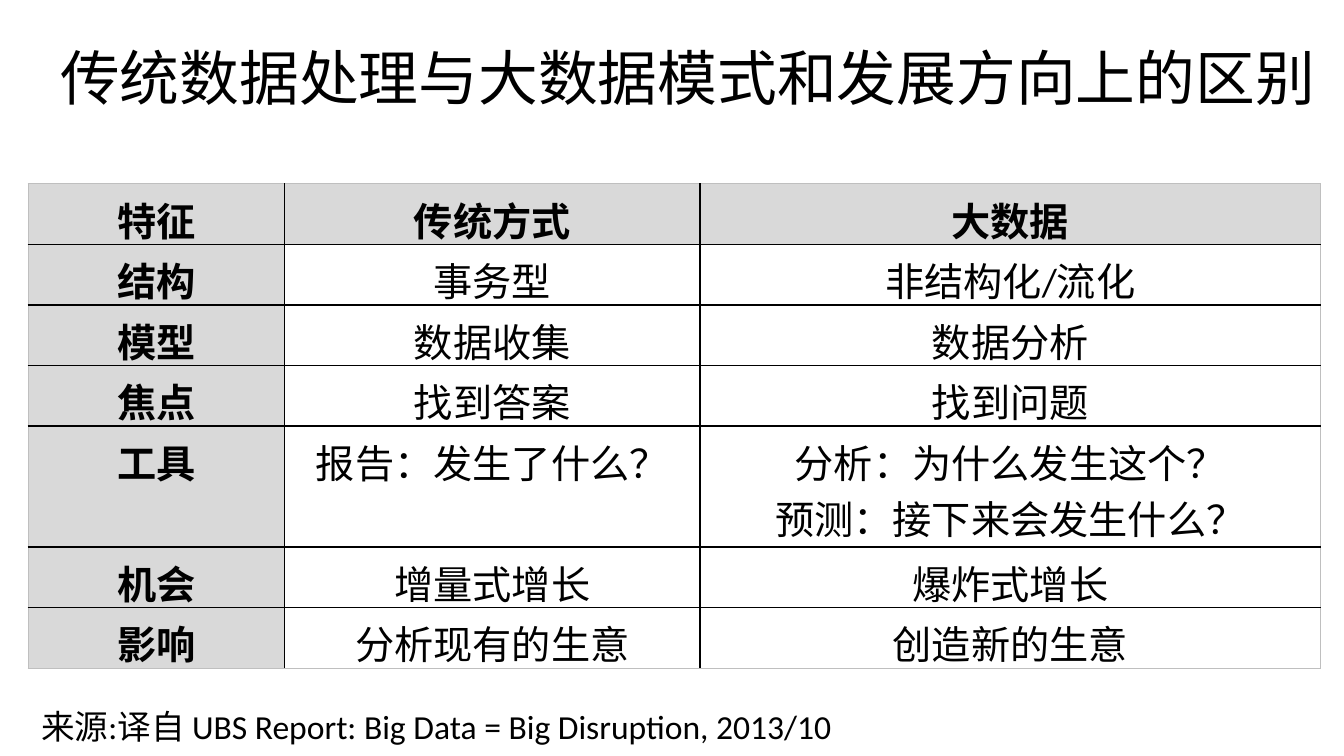
from lxml import etree
from pptx import Presentation
from pptx.dml import color
from pptx.enum import text
from pptx.oxml import ns
from pptx.util import Pt

FONT = "Calibri"
BLACK, GREY, EDGE = "000000", "D9D9D9", "BFBFBF"

FEATURES = [
    ("特征", "传统方式", "大数据"),
    ("结构", "事务型", "非结构化/流化"),
    ("模型", "数据收集", "数据分析"),
    ("焦点", "找到答案", "找到问题"),
    ("工具", "报告：发生了什么？", "分析：为什么发生这个？\n预测：接下来会发生什么？"),
    ("机会", "增量式增长", "爆炸式增长"),
    ("影响", "分析现有的生意", "创造新的生意"),
]
COLUMN_WIDTHS = [137.5, 222.5, 332.5]
LINE_HEIGHT, TWO_LINE_HEIGHT = 30.24, 64.8


def rgb(value):
    return color.RGBColor.from_string(value)


def write(frame, wording, size, bold=False, align=text.PP_ALIGN.LEFT):
    frame.text = wording
    for paragraph in frame.paragraphs:
        paragraph.alignment = align
        for run in paragraph.runs:
            run.font.name = FONT
            run.font.size = Pt(size)
            run.font.bold = bold
            run.font.color.rgb = rgb(BLACK)


def add_border(cell, side, value, width):
    line = etree.SubElement(cell._tc.get_or_add_tcPr(), ns.qn(f"a:ln{side}"), w=str(Pt(width)))
    fill = etree.SubElement(line, ns.qn("a:solidFill"))
    etree.SubElement(fill, ns.qn("a:srgbClr"), val=value)


def add_title(slide, left, top, width, height):
    title = slide.shapes.add_textbox(Pt(left), Pt(top), Pt(width), Pt(height)).text_frame
    title.word_wrap = True
    title.vertical_anchor = text.MSO_ANCHOR.MIDDLE
    write(title, "传统数据处理与大数据模式和发展方向上的区别", 32, align=text.PP_ALIGN.CENTER)


def add_comparison(slide, left, top):
    heights = [TWO_LINE_HEIGHT if "\n" in row[-1] else LINE_HEIGHT for row in FEATURES]
    last_row, last_column = len(heights) - 1, len(COLUMN_WIDTHS) - 1
    comparison = slide.shapes.add_table(
        len(heights), len(COLUMN_WIDTHS), Pt(left), Pt(top),
        Pt(sum(COLUMN_WIDTHS)), Pt(sum(heights))).table
    comparison.first_row = comparison.horz_banding = False
    for column, width in zip(comparison.columns, COLUMN_WIDTHS):
        column.width = Pt(width)

    for r, (row, height) in enumerate(zip(FEATURES, heights)):
        comparison.rows[r].height = Pt(height)
        for c, wording in enumerate(row):
            cell = comparison.cell(r, c)
            heading = r == 0 or c == 0
            write(cell.text_frame, wording, 21, heading, text.PP_ALIGN.CENTER)
            # Pale outer edge, black inner grid; borders go before the fill
            outer = {"L": c == 0, "R": c == last_column, "T": r == 0, "B": r == last_row}
            for side, is_edge in outer.items():
                add_border(cell, side, EDGE if is_edge else BLACK, 0.5 if is_edge else 1)
            if heading:
                cell.fill.solid()
                cell.fill.fore_color.rgb = rgb(GREY)
            else:
                cell.fill.background()


def add_source(slide, left, top, width, height):
    source = slide.shapes.add_textbox(Pt(left), Pt(top), Pt(width), Pt(height)).text_frame
    source.word_wrap = False
    write(source, "来源:译自 UBS Report: Big Data = Big Disruption, 2013/10", 18)


def main():
    deck = Presentation()
    deck.slide_width, deck.slide_height = Pt(720), Pt(405)
    slide = deck.slides.add_slide(deck.slide_layouts[6])
    add_title(slide, 17.3, 7.2, 702.7, 67.7)
    add_comparison(slide, 15, 98.5)
    add_source(slide, 15, 374.4, 458, 29)
    deck.save("out.pptx")


if __name__ == "__main__":
    main()
